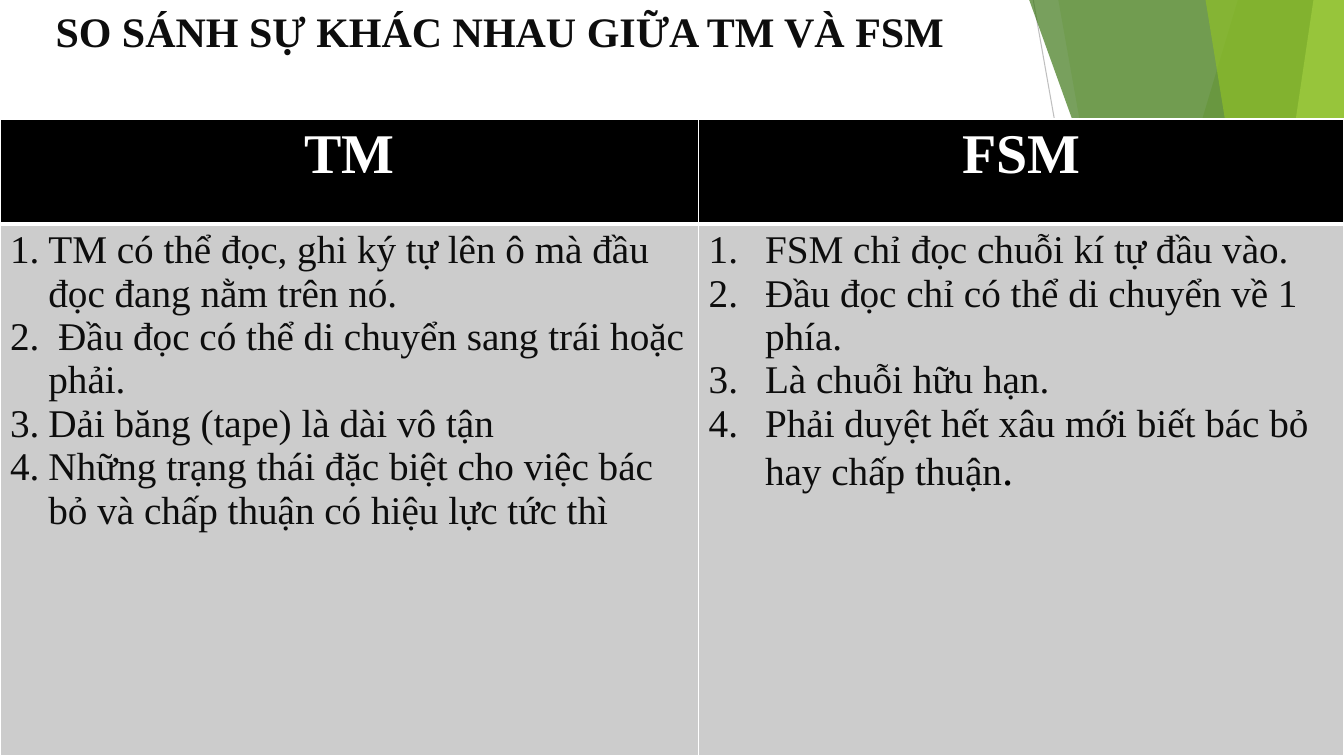
from lxml.etree import SubElement
from pptx import Presentation
from pptx.dml.color import RGBColor
from pptx.enum.shapes import MSO_CONNECTOR, MSO_SHAPE
from pptx.enum.text import MSO_ANCHOR, MSO_AUTO_SIZE, PP_ALIGN
from pptx.oxml.ns import qn
from pptx.util import Inches, Pt

WIDTH, HEIGHT = Inches(13.333), Inches(7.5)
FONT = "Times New Roman"

WHITE = RGBColor(0xFF, 0xFF, 0xFF)
BLACK = RGBColor(0x00, 0x00, 0x00)
INK = RGBColor(0x0D, 0x0D, 0x0D)
CELL_GRAY = RGBColor(0xCC, 0xCC, 0xCC)
LINE_GRAY = RGBColor(0xBF, 0xBF, 0xBF)
PALE_GRAY = RGBColor(0xD9, 0xD9, 0xD9)
LIME = RGBColor(0x90, 0xC2, 0x26)
GREEN = RGBColor(0x54, 0xA0, 0x21)
DARK_GREEN = RGBColor(0x3F, 0x78, 0x19)
PALE_LIME = RGBColor(0xC0, 0xE4, 0x74)

# Percent of the slide: top x, bottom x; each panel reaches the right edge
PANELS_BEHIND = [(92.1, 75.3, LIME, 30), (78.75, 88.73, LIME, 20)]
PANELS_FRONT = [
    (76.58, 96.83, DARK_GREEN, 70),
    (97.73, 89.4, PALE_LIME, 70),
    (89.7, 98.85, LIME, 65),
]

TM_POINTS = [
    "TM có thể đọc, ghi ký tự lên ô mà đầu đọc đang nằm trên nó.",
    " Đầu đọc có thể di chuyển sang trái hoặc phải.",
    "Dải băng (tape) là dài vô tận",
    "Những trạng thái đặc biệt cho việc bác bỏ và chấp thuận có hiệu lực tức thì",
]
FSM_POINTS = [
    "FSM chỉ đọc chuỗi kí tự đầu vào.",
    "Đầu đọc chỉ có thể di chuyển về 1 phía.",
    "Là chuỗi hữu hạn.",
    "Phải duyệt hết xâu mới biết bác bỏ hay chấp thuận",
]


def across(percent):
    return int(WIDTH * percent / 100)


def down(percent):
    return int(HEIGHT * percent / 100)


def add_text(paragraph, text, size=28, color=INK, bold=False, align=PP_ALIGN.LEFT):
    paragraph.alignment = align
    run = paragraph.add_run()
    run.text = text
    run.font.name = FONT
    run.font.size = Pt(size)
    run.font.bold = bold
    run.font.color.rgb = color


def paint(shape, color, opacity):
    shape.shadow.inherit = False
    shape.line.fill.background()
    shape.fill.solid()
    shape.fill.fore_color.rgb = color
    rgb = shape.fill._xPr.find(".//" + qn("a:srgbClr"))
    SubElement(rgb, qn("a:alpha"), val=str(opacity * 1000))


def add_panel(slide, top_x, bottom_x, color, opacity):
    builder = slide.shapes.build_freeform(across(top_x), 0)
    builder.add_line_segments(
        [(WIDTH, 0), (WIDTH, HEIGHT), (across(bottom_x), HEIGHT)], close=True)
    paint(builder.convert_to_shape(), color, opacity)


def add_triangle(slide, left, top, width, apex, color, opacity):
    shape = slide.shapes.add_shape(
        MSO_SHAPE.ISOSCELES_TRIANGLE,
        across(left), down(top), across(width), down(100 - top))
    shape.adjustments[0] = apex
    paint(shape, color, opacity)


def add_line(slide, start, end, color):
    line = slide.shapes.add_connector(
        MSO_CONNECTOR.STRAIGHT,
        across(start[0]), down(start[1]), across(end[0]), down(end[1]))
    line.line.color.rgb = color
    line.line.width = Pt(0.75)
    SubElement(line._element.spPr, qn("a:effectLst"))


def add_decoration(slide):
    add_line(slide, (76.88, 0), (86.85, 100), LINE_GRAY)
    add_line(slide, (100, 53.73), (60.9, 100), PALE_GRAY)
    for panel in PANELS_BEHIND:
        add_panel(slide, *panel)
    add_triangle(slide, 73.28, 44.4, 26.72, 1, GREEN, 72)
    for panel in PANELS_FRONT:
        add_panel(slide, *panel)
    add_triangle(slide, 85.05, 52.4, 14.95, 1, LIME, 80)
    add_triangle(slide, 0, 58.53, 3.68, 0, LIME, 85)


def format_title(slide, text):
    title = slide.shapes.title
    title.left, title.top = across(3.38), 0
    title.width, title.height = across(86.25), down(19.33)
    frame = title.text_frame
    frame.vertical_anchor = MSO_ANCHOR.TOP
    frame.auto_size = MSO_AUTO_SIZE.NONE
    frame.word_wrap = True
    add_text(frame.paragraphs[0], text, size=30, bold=True)
    # Bring the title in front of the decoration
    slide.shapes._spTree.append(title._element)


def format_cell(cell, color, bottom_width):
    properties = cell._tc.get_or_add_tcPr()
    for side, width in (("L", 1), ("R", 1), ("T", 1), ("B", bottom_width)):
        border = SubElement(properties, qn("a:ln" + side), w=str(Pt(width)))
        fill = SubElement(border, qn("a:solidFill"))
        SubElement(fill, qn("a:srgbClr"), val=str(WHITE))
    cell.fill.solid()
    cell.fill.fore_color.rgb = color


def add_numbered_list(cell, points, indent):
    frame = cell.text_frame
    for index, point in enumerate(points):
        paragraph = frame.add_paragraph() if index else frame.paragraphs[0]
        add_text(paragraph, point)
        properties = paragraph._p.get_or_add_pPr()
        properties.set("marL", str(indent))
        properties.set("indent", str(-indent))
        SubElement(properties, qn("a:buFont"), typeface="+mj-lt")
        SubElement(properties, qn("a:buAutoNum"), type="arabicPeriod")


def add_comparison(slide):
    top, header_height, first_width = down(15.73), down(13.87), across(51.98)
    table = slide.shapes.add_table(2, 2, 0, top, WIDTH, HEIGHT - top).table
    table.columns[0].width = first_width
    table.columns[1].width = WIDTH - first_width
    table.rows[0].height = header_height
    table.rows[1].height = HEIGHT - top - header_height

    columns = [("TM", TM_POINTS, 0.38), ("FSM", FSM_POINTS, 0.56)]
    for index, (heading, points, indent) in enumerate(columns):
        header, body = table.cell(0, index), table.cell(1, index)
        format_cell(header, BLACK, 3)
        format_cell(body, CELL_GRAY, 1)
        add_text(header.text_frame.paragraphs[0], heading,
                 size=40, color=WHITE, bold=True, align=PP_ALIGN.CENTER)
        add_numbered_list(body, points, Inches(indent))

    # The last point ends with a larger full stop
    last_point = table.cell(1, 1).text_frame.paragraphs[-1]
    add_text(last_point, ".", size=32, color=BLACK)


def main():
    presentation = Presentation()
    presentation.slide_width, presentation.slide_height = WIDTH, HEIGHT
    slide = presentation.slides.add_slide(presentation.slide_layouts[5])
    add_decoration(slide)
    format_title(slide, "SO SÁNH SỰ KHÁC NHAU GIỮA TM VÀ FSM")
    add_comparison(slide)
    presentation.save("out.pptx")


if __name__ == "__main__":
    main()
